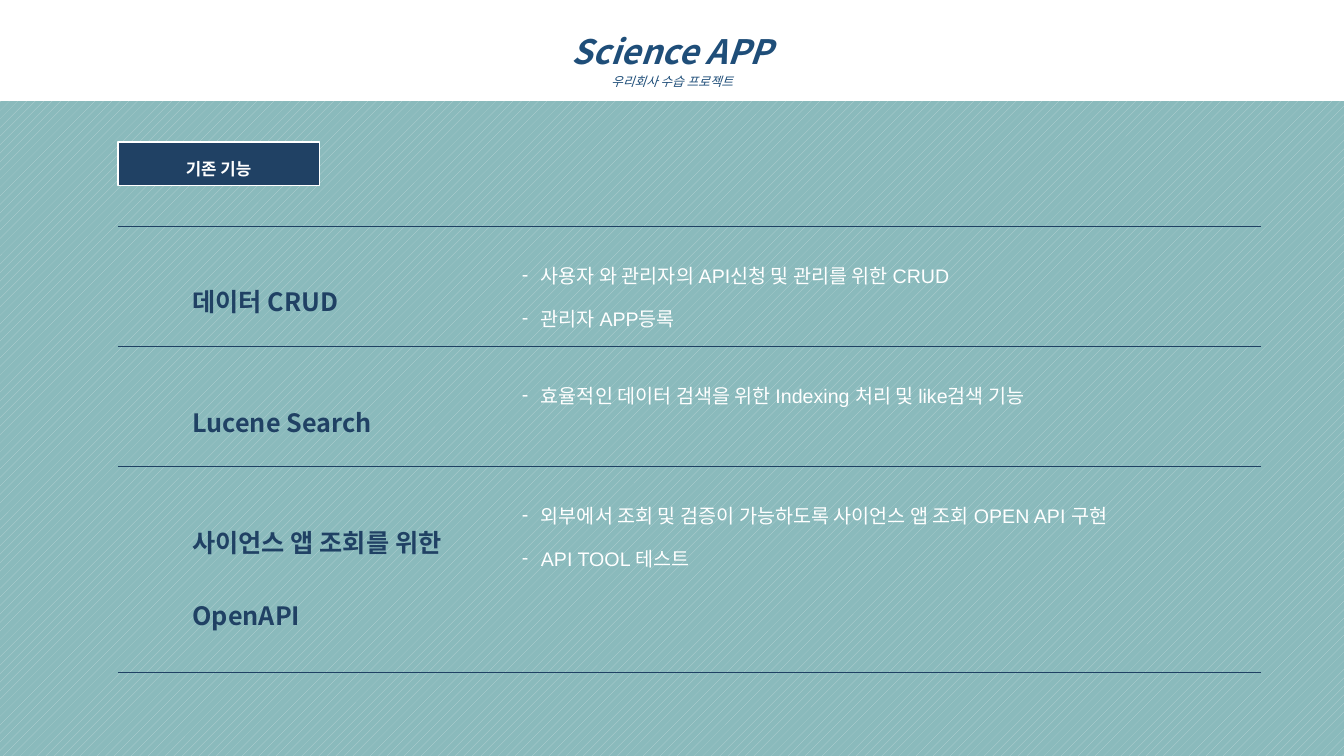
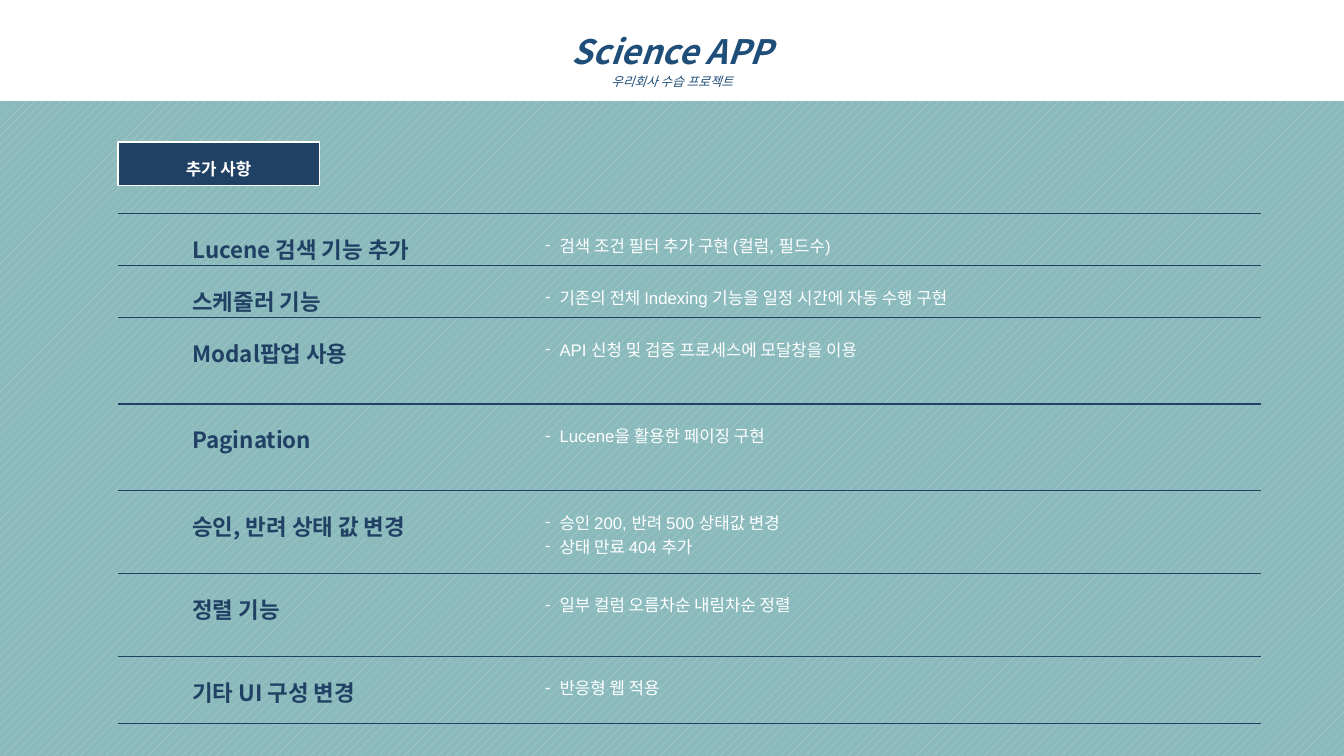
from dataclasses import dataclass

from lxml import etree
from pptx import Presentation
from pptx.dml.color import RGBColor
from pptx.enum.dml import MSO_PATTERN
from pptx.enum.shapes import MSO_SHAPE
from pptx.enum.text import MSO_ANCHOR, MSO_AUTO_SIZE, PP_ALIGN
from pptx.oxml.ns import qn
from pptx.util import Cm, Pt

RECT = MSO_SHAPE.RECTANGLE
DOTS = MSO_PATTERN.PERCENT_20
MIDDLE, BOTTOM = MSO_ANCHOR.MIDDLE, MSO_ANCHOR.BOTTOM
CENTER, LEFT = PP_ALIGN.CENTER, PP_ALIGN.LEFT
NO_FIT = MSO_AUTO_SIZE.NONE


# Theme: colours, fonts and type sizes
@dataclass(frozen=True)
class Theme:
    navy: str = "204164"
    blue: str = "1F4E79"
    white: str = "FFFFFF"
    teal: str = "8ABABC"
    mist: str = "BCD6D7"
    head: str = "Noto Sans CJK KR"
    body: str = "Arial"
    title: int = 24
    sub: int = 9
    tag: int = 12
    rule: int = 1


THEME = Theme()
WIDE, HIGH = Cm(33.87), Cm(19.05)
EDGE = Cm(2.97)

# Content: each row is a height in cm, label lines and list items
PAGES = [
    dict(
        tag="기존 기능", top=5.7, cols=(9.93, 18.87), pad=0.5, hang=0.48,
        label=18, item=14, label_gap=2.0, item_gap=1.5,
        rows=[
            (3.03, ["데이터 CRUD"],
             ["사용자 와 관리자의 API신청 및 관리를 위한 CRUD", "관리자 APP등록"]),
            (3.03, ["Lucene Search"],
             ["효율적인 데이터 검색을 위한 Indexing 처리 및 like검색 기능"]),
            (5.19, ["사이언스 앱 조회를 위한", "OpenAPI"],
             ["외부에서 조회 및 검증이 가능하도록 사이언스 앱 조회 OPEN API 구현",
              "API TOOL 테스트"]),
        ],
    ),
    dict(
        tag="추가 사항", top=5.38, cols=(10.52, 18.29), pad=0.48, hang=0.36,
        label=16, item=12, label_gap=1.0, item_gap=1.0,
        rows=[
            (1.31, ["Lucene 검색 기능 추가"], ["검색 조건 필터 추가 구현 (컬럼, 필드수)"]),
            (1.31, ["스케줄러 기능"],
             ["기존의 전체 Indexing 기능을 일정 시간에 자동 수행 구현"]),
            (2.18, ["Modal팝업 사용"], ["API 신청 및 검증 프로세스에 모달창을 이용"]),
            (2.18, ["Pagination"], ["Lucene을 활용한 페이징 구현"]),
            (2.09, ["승인, 반려 상태 값 변경"],
             ["승인 200, 반려 500 상태값 변경", "상태 만료 404 추가"]),
            (2.09, ["정렬 기능"], ["일부 컬럼 오름차순 내림차순 정렬"]),
            (1.7, ["기타 UI 구성 변경"], ["반응형 웹 적용"]),
        ],
    ),
]


# Text helpers
def apply(target, **values):
    for name, value in values.items():
        setattr(target, name, value)


def write(para, text, color, font, size, gap, align=LEFT, **style):
    apply(para, line_spacing=gap, alignment=align)
    run = para.add_run()
    run.text = text
    apply(run.font, name=font, size=Pt(size), **style)
    run.font.color.rgb = RGBColor.from_string(color)
    east = etree.SubElement(run.font._element, qn("a:ea"))
    east.set("typeface", THEME.head)


def lines(frame, texts):
    for i, text in enumerate(texts):
        yield (frame.add_paragraph() if i else frame.paragraphs[0]), text


def dash(para, hang):
    props = para._p.get_or_add_pPr()
    props.set("marL", str(hang))
    props.set("indent", str(-hang))
    etree.SubElement(props, qn("a:buFont")).set("typeface", THEME.body)
    etree.SubElement(props, qn("a:buChar")).set("char", "-")


def paint(shape, color):
    shape.fill.solid()
    shape.fill.fore_color.rgb = RGBColor.from_string(color)


# Shared backdrop on the master
def backdrop(deck):
    fill = deck.slide_master.background.fill
    fill.patterned()
    fill.pattern = DOTS
    fill.fore_color.rgb = RGBColor.from_string(THEME.mist)
    fill.back_color.rgb = RGBColor.from_string(THEME.teal)


# Title band
def banner(slide):
    band = slide.shapes.title
    apply(band, left=0, top=0, width=WIDE, height=Cm(2.54))
    paint(band, THEME.white)
    frame = band.text_frame
    apply(frame, auto_size=NO_FIT, word_wrap=True, vertical_anchor=BOTTOM,
          margin_top=Cm(0.13), margin_bottom=Cm(0.3))
    parts = [("Science APP", THEME.title, 1.0, True),
             ("우리회사 수습 프로젝트", THEME.sub, 1.15, False)]
    for para, (text, size, gap, bold) in lines(frame, parts):
        write(para, text, THEME.blue, THEME.head, size, gap, CENTER,
              bold=bold, italic=True)


# Section tag
def badge(slide, text):
    box = slide.shapes.add_shape(RECT, EDGE, Cm(3.58), Cm(5.08), Cm(1.09))
    box.shadow.inherit = False
    paint(box, THEME.navy)
    box.line.color.rgb = RGBColor.from_string(THEME.white)
    box.line.width = Pt(1)
    frame = box.text_frame
    apply(frame, word_wrap=True, vertical_anchor=MIDDLE)
    write(frame.paragraphs[0], text, THEME.white, THEME.head, THEME.tag,
          1.5, CENTER, bold=True)


# Table with rules above and below each row
def ruled(cell):
    cell.fill.background()
    props = cell._tc.get_or_add_tcPr()
    for i, side in enumerate(("lnL", "lnR", "lnT", "lnB")):
        line = etree.Element(qn("a:" + side))
        if side in ("lnT", "lnB"):
            line.set("w", str(Pt(THEME.rule)))
            solid = etree.SubElement(line, qn("a:solidFill"))
            etree.SubElement(solid, qn("a:srgbClr")).set("val", THEME.navy)
        else:
            etree.SubElement(line, qn("a:noFill"))
        props.insert(i, line)


def grid(slide, page):
    rows, cols = page["rows"], page["cols"]
    table = slide.shapes.add_table(
        len(rows), len(cols), EDGE, Cm(page["top"]), Cm(sum(cols)),
        Cm(sum(row[0] for row in rows))).table
    apply(table, first_row=False, horz_banding=False)
    for col, width in zip(table.columns, cols):
        col.width = Cm(width)
    for row, (height, labels, items) in zip(table.rows, rows):
        row.height = Cm(height)
        name, note = row.cells
        for cell, indent in ((name, 1.88), (note, 0.25)):
            ruled(cell)
            apply(cell, margin_left=Cm(indent), margin_right=Cm(0.25),
                  margin_top=Cm(page["pad"]), margin_bottom=0)
        for para, text in lines(name.text_frame, labels):
            write(para, text, THEME.navy, THEME.head, page["label"],
                  page["label_gap"], bold=True)
        for para, text in lines(note.text_frame, items):
            write(para, text, THEME.white, THEME.body, page["item"],
                  page["item_gap"], bold=False)
            dash(para, Cm(page["hang"]))


def main():
    deck = Presentation()
    apply(deck, slide_width=WIDE, slide_height=HIGH)
    backdrop(deck)
    for page in PAGES:
        slide = deck.slides.add_slide(deck.slide_layouts[5])
        banner(slide)
        grid(slide, page)
        badge(slide, page["tag"])
    deck.save("out.pptx")


if __name__ == "__main__":
    main()
